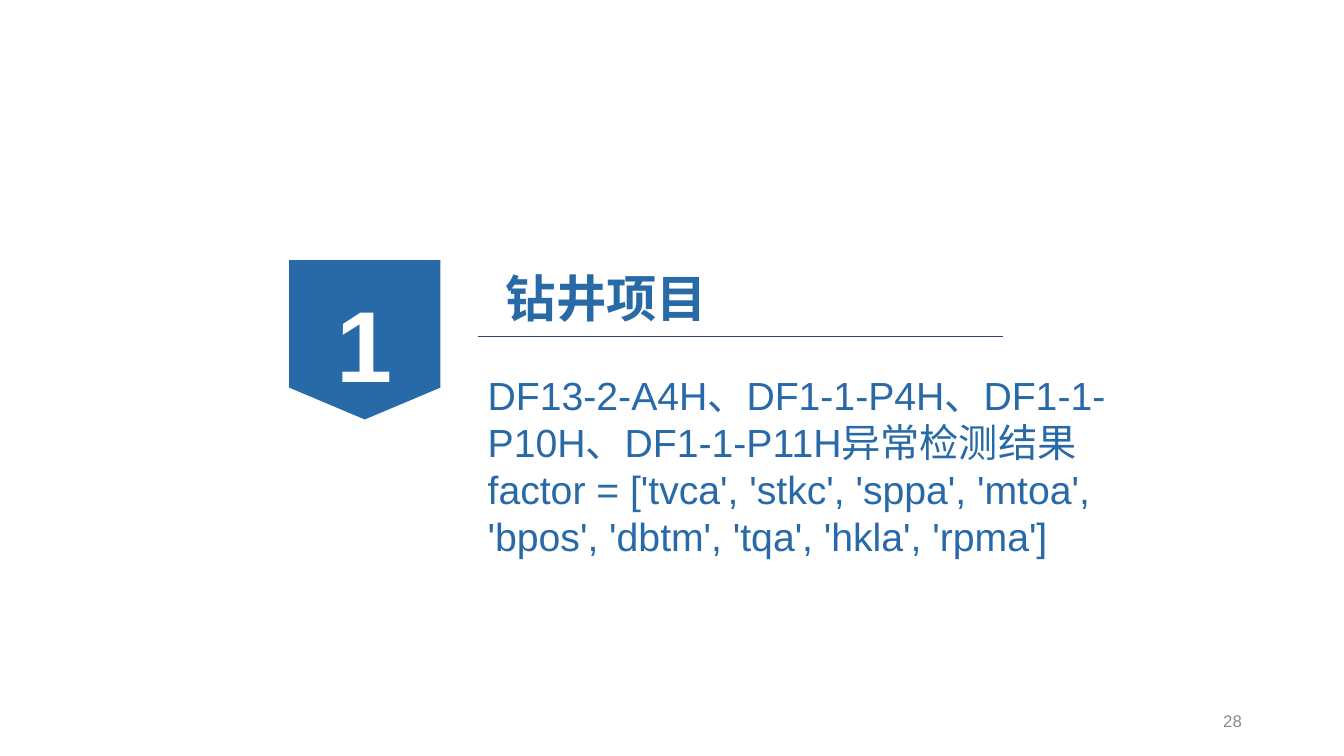
from dataclasses import dataclass

from lxml.etree import SubElement
from pptx import Presentation
from pptx.dml.color import RGBColor
from pptx.enum.shapes import MSO_CONNECTOR, MSO_SHAPE
from pptx.enum.text import MSO_ANCHOR, PP_ALIGN
from pptx.oxml.ns import qn
from pptx.util import Pt


@dataclass(frozen=True)
class Theme:
    font: str = "Arial"
    blue: str = "2869A7"
    navy: str = "314371"
    white: str = "FFFFFF"
    gray: str = "8C8C8C"
    number_size: int = 72
    title_size: int = 36
    body_size: int = 28
    footer_size: int = 12


class SectionPage:
    def __init__(self, deck, theme):
        self.theme = theme
        self.page = deck.slides.add_slide(deck.slide_layouts[6])

    def set_text(self, shape, text, size, color, bold=False,
                 align=PP_ALIGN.LEFT, anchor=MSO_ANCHOR.TOP, spacing=None):
        frame = shape.text_frame
        frame.text = text
        frame.word_wrap = True
        frame.vertical_anchor = anchor
        for paragraph in frame.paragraphs:
            paragraph.alignment = align
            paragraph.line_spacing = spacing
            for span in paragraph.runs:
                span.font.name = self.theme.font
                span.font.size = Pt(size)
                span.font.bold = bold
                span.font.color.rgb = RGBColor.from_string(color)

    def add_text(self, left, top, width, height, text, size, color, **style):
        box = self.page.shapes.add_textbox(Pt(left), Pt(top), Pt(width), Pt(height))
        self.set_text(box, text, size, color, **style)

    def add_badge(self, left, top, width, height, text):
        shape = self.page.shapes.add_shape(
            MSO_SHAPE.FLOWCHART_OFFPAGE_CONNECTOR,
            Pt(left), Pt(top), Pt(width), Pt(height))
        shape.shadow.inherit = False
        shape.fill.solid()
        shape.fill.fore_color.rgb = RGBColor.from_string(self.theme.blue)
        shape.line.fill.background()
        self.set_text(shape, text, self.theme.number_size, self.theme.white, bold=True,
                      align=PP_ALIGN.CENTER, anchor=MSO_ANCHOR.MIDDLE, spacing=1.3)

    def add_rule(self, left, right, height):
        line = self.page.shapes.add_connector(
            MSO_CONNECTOR.STRAIGHT, Pt(left), Pt(height), Pt(right), Pt(height))
        line.line.color.rgb = RGBColor.from_string(self.theme.navy)
        line.line.width = Pt(1)
        SubElement(line._element.spPr, qn("a:effectLst"))


def main():
    deck = Presentation()
    deck.slide_width, deck.slide_height = Pt(960), Pt(540)
    theme = Theme()
    section = SectionPage(deck, theme)

    # Section number and title
    section.add_badge(206.6, 185.8, 108, 113.8, "1")
    section.add_rule(341.3, 716.4, 240.5)
    section.add_text(354.2, 187.2, 362.2, 51.1, "钻井项目",
                     theme.title_size, theme.blue, bold=True)

    # Page number
    section.add_text(678.2, 500.4, 216, 28.8, "28", theme.footer_size, theme.gray,
                     align=PP_ALIGN.RIGHT, anchor=MSO_ANCHOR.MIDDLE)

    # Wells and factors
    section.add_text(
        341.3, 261.4, 472.3, 143.3,
        "DF13-2-A4H、DF1-1-P4H、DF1-1-P10H、DF1-1-P11H异常检测结果\n"
        "factor = ['tvca', 'stkc', 'sppa', 'mtoa', 'bpos', 'dbtm', 'tqa', 'hkla', 'rpma']",
        theme.body_size, theme.blue)

    deck.save("out.pptx")


if __name__ == "__main__":
    main()
